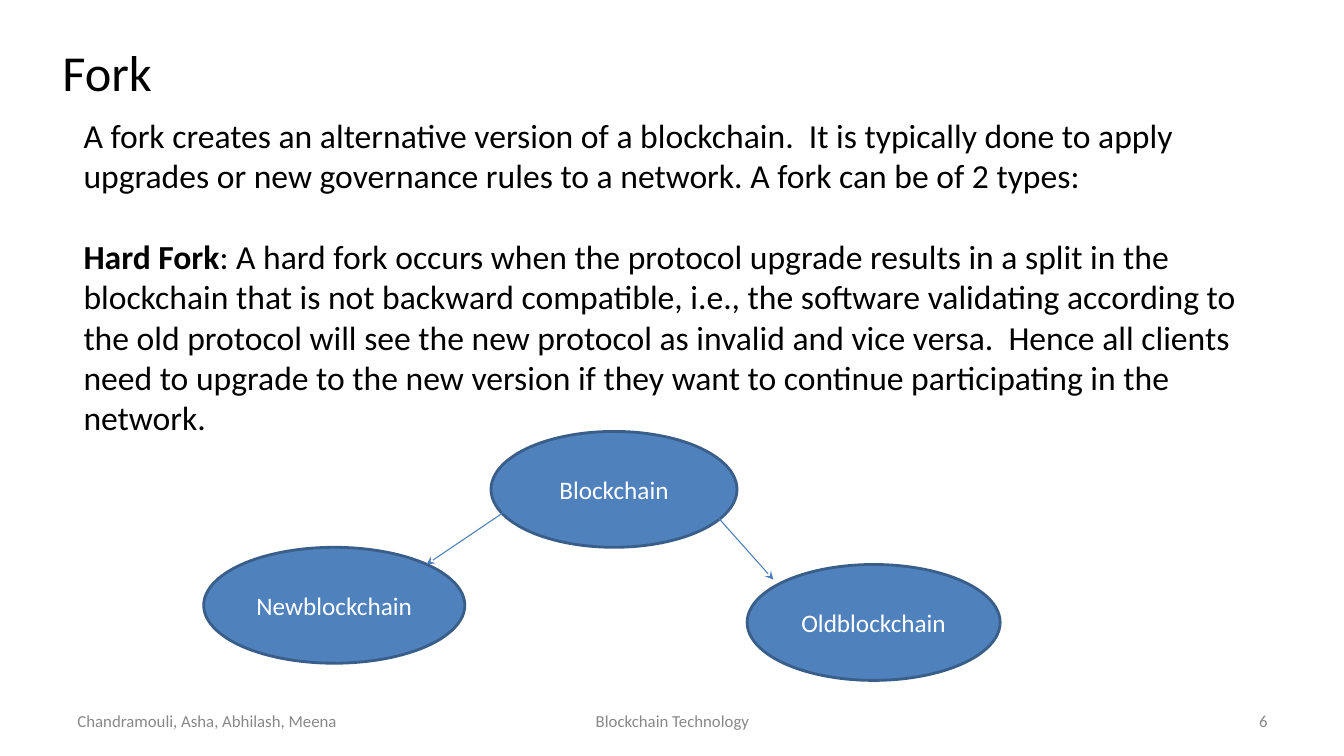
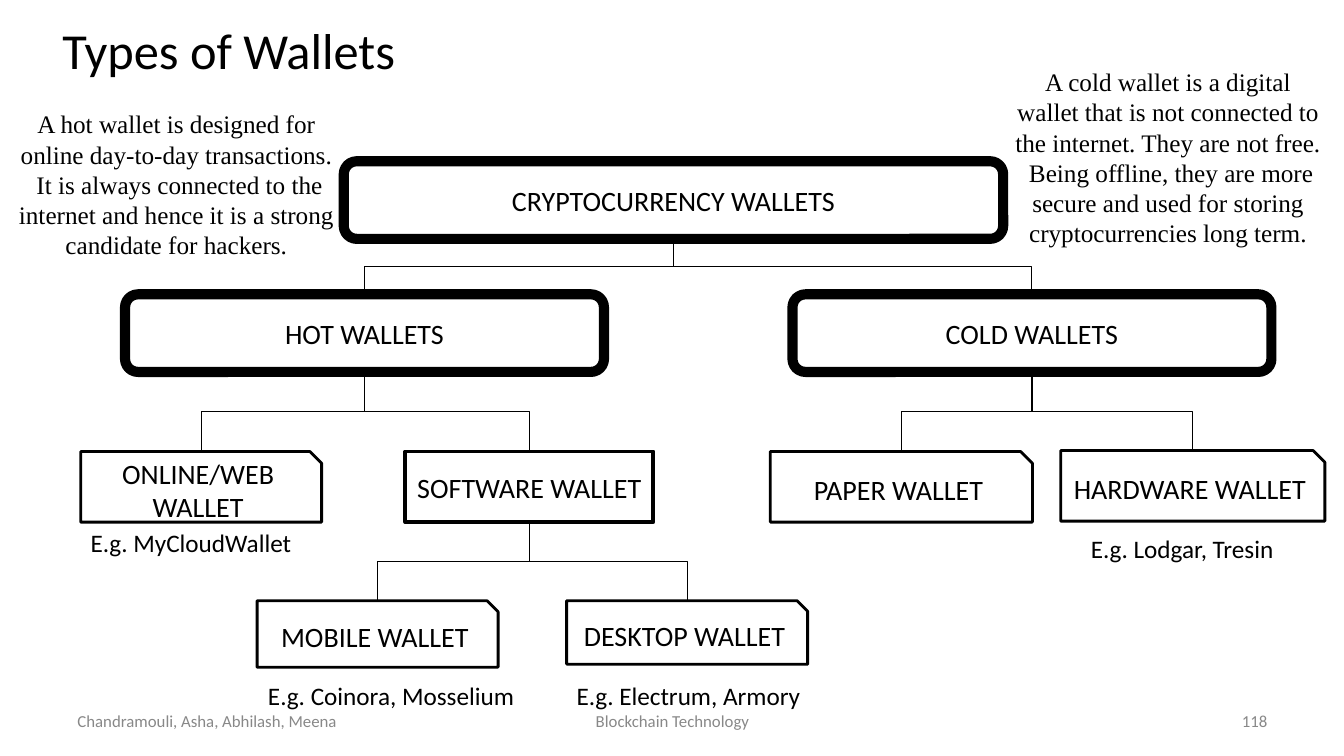
from dataclasses import dataclass

from lxml.etree import SubElement
from pptx import Presentation
from pptx.dml.color import RGBColor
from pptx.enum.shapes import MSO_CONNECTOR as LINK, MSO_SHAPE as SHAPE
from pptx.enum.text import MSO_ANCHOR as ANCHOR, PP_ALIGN as ALIGN
from pptx.oxml.ns import qn
from pptx.util import Pt

EMU_PER_PX = 9144


def px(length):
    return round(length * EMU_PER_PX)


@dataclass(frozen=True)
class Theme:
    ink: str = "000000"
    paper: str = "FFFFFF"
    muted: str = "888888"
    node_fill: str = "4F81BD"
    node_edge: str = "395E89"
    arrow: str = "4A7DBA"
    sans: str = "Calibri"
    serif: str = "Times New Roman"
    title_size: int = 36
    body_size: int = 24
    box_size: int = 20
    label_size: int = 18
    footer_size: int = 12
    body_gap: int = 29
    thin: float = 0.75
    medium: float = 2
    strong: float = 2.75
    heavy: float = 7.25


class Deck:
    def __init__(self, theme):
        self.theme = theme
        self.prs = Presentation()
        self.prs.slide_width = px(1333)
        self.prs.slide_height = px(750)
        self.slide = None

    def new_slide(self, title, title_top, number):
        theme = self.theme
        self.slide = self.prs.slides.add_slide(self.prs.slide_layouts[6])
        heading = self.text((52, title_top, 1174, 74), [[(title, False)]],
                            theme.title_size, align=ALIGN.JUSTIFY)
        heading.text_frame.paragraphs[0].line_spacing = 1.15
        footers = (
            (67, 311, "Chandramouli, Asha, Abhilash, Meena", ALIGN.LEFT),
            (456, 422, "Blockchain Technology", ALIGN.CENTER),
            (956, 311, str(number), ALIGN.RIGHT),
        )
        for left, width, words, align in footers:
            self.text((left, 695, width, 40), [[(words, False)]], theme.footer_size,
                      color=theme.muted, align=align, anchor=ANCHOR.MIDDLE)

    def set_text(self, frame, paragraphs, size, color, font, align, anchor, gap=0):
        frame.word_wrap = True
        frame.vertical_anchor = anchor
        for index, runs in enumerate(paragraphs):
            paragraph = frame.add_paragraph() if index else frame.paragraphs[0]
            paragraph.alignment = align
            if index:
                paragraph.space_before = Pt(gap)
            for words, bold in runs:
                run = paragraph.add_run()
                run.text = words
                run.font.name = font
                run.font.size = Pt(size)
                run.font.bold = bold
                run.font.color.rgb = RGBColor.from_string(color)

    def text(self, area, paragraphs, size, color=None, font=None,
             align=ALIGN.LEFT, anchor=ANCHOR.TOP, gap=0):
        box = self.slide.shapes.add_textbox(*map(px, area))
        self.set_text(box.text_frame, paragraphs, size, color or self.theme.ink,
                      font or self.theme.sans, align, anchor, gap)
        return box

    def shape(self, kind, area, label, size, fill, edge, weight, color):
        shape = self.slide.shapes.add_shape(kind, *map(px, area))
        shape.shadow.inherit = False
        shape.fill.solid()
        shape.fill.fore_color.rgb = RGBColor.from_string(fill)
        shape.line.color.rgb = RGBColor.from_string(edge)
        shape.line.width = Pt(weight)
        self.set_text(shape.text_frame, [[(label, False)]], size, color,
                      self.theme.sans, ALIGN.CENTER, ANCHOR.MIDDLE)
        return shape

    def node(self, area, label):
        theme = self.theme
        return self.shape(SHAPE.OVAL, area, label, theme.label_size, theme.node_fill,
                          theme.node_edge, theme.medium, theme.paper)

    def box(self, kind, area, label, weight):
        theme = self.theme
        return self.shape(kind, area, label, theme.box_size, theme.paper,
                          theme.ink, weight, theme.ink)

    def link(self, kind, ends, color):
        link = self.slide.shapes.add_connector(kind, *ends)
        link.line.color.rgb = RGBColor.from_string(color)
        link.line.width = Pt(self.theme.thin)
        SubElement(link._element.spPr, qn("a:effectLst"))
        return link

    def arrow(self, *ends):
        arrow = self.link(LINK.STRAIGHT, map(px, ends), self.theme.arrow)
        SubElement(arrow._element.spPr.find(qn("a:ln")), qn("a:tailEnd"), type="stealth")

    def branch(self, parent, child):
        start_x = parent.left + parent.width // 2
        start_y = parent.top + parent.height
        end_x = child.left + child.width // 2
        mid_x, mid_y = (start_x + end_x) // 2, (start_y + child.top) // 2
        half_run, half_drop = abs(end_x - start_x) // 2, (child.top - start_y) // 2
        elbow = self.link(LINK.ELBOW, (mid_x - half_drop, mid_y - half_run,
                                       mid_x + half_drop, mid_y + half_run),
                          self.theme.ink)
        frame = elbow._element.spPr.find(qn("a:xfrm"))
        if end_x < start_x:
            frame.set("rot", "5400000")
        else:
            frame.set("rot", "16200000")
            frame.set("flipH", "1")


def build_fork(deck):
    deck.new_slide("Fork", 27, 6)
    intro = ("A fork creates an alternative version of a blockchain.  It is typically done "
             "to apply upgrades or new governance rules to a network. A fork can be of 2 types:")
    hard_fork = (": A hard fork occurs when the protocol upgrade results in a split in the "
                 "blockchain that is not backward compatible, i.e., the software validating "
                 "according to the old protocol will see the new protocol as invalid and vice "
                 "versa.  Hence all clients need to upgrade to the new version if they want to "
                 "continue participating in the network.")
    deck.text((73, 109, 1209, 320),
              [[(intro, False)], [("Hard Fork", True), (hard_fork, False)]],
              deck.theme.body_size, gap=deck.theme.body_gap)
    deck.node((487, 428, 244, 115), "Blockchain")
    deck.node((741, 560, 251, 115), "Oldblockchain")
    deck.node((202, 543, 259, 115), "Newblockchain")
    deck.arrow(500, 508, 423, 560)
    deck.arrow(710, 511, 767, 575)


def build_wallets(deck):
    theme = deck.theme
    deck.new_slide("Types of Wallets", 5, 118)

    def group(area, label):
        return deck.box(SHAPE.ROUNDED_RECTANGLE, area, label, theme.heavy)

    def wallet(area, label):
        return deck.box(SHAPE.SNIP_1_RECTANGLE, area, label, theme.medium)

    root = group((341, 160, 654, 77), "CRYPTOCURRENCY WALLETS")
    hot = group((124, 292, 475, 77), "HOT WALLETS")
    cold = group((786, 292, 475, 77), "COLD WALLETS")
    online = wallet((80, 448, 239, 70), "ONLINE/WEB WALLET")
    software = deck.box(SHAPE.RECTANGLE, (402, 448, 246, 70), "SOFTWARE WALLET", theme.strong)
    paper = wallet((764, 448, 260, 70), "PAPER WALLET")
    hardware = wallet((1052, 447, 262, 70), "HARDWARE WALLET")
    mobile = wallet((255, 596, 239, 66), "MOBILE WALLET")
    desktop = wallet((562, 596, 239, 63), "DESKTOP WALLET")

    tree = ((root, (hot, cold)), (hot, (online, software)),
            (cold, (paper, hardware)), (software, (mobile, desktop)))
    for parent, children in tree:
        for child in children:
            deck.branch(parent, child)

    examples = (
        (1072, 524, 219, "E.g. Lodgar, Tresin"),
        (80, 518, 266, "E.g. MyCloudWallet"),
        (562, 670, 266, "E.g. Electrum, Armory"),
        (256, 670, 266, "E.g. Coinora, Mosselium"),
    )
    for left, top, width, words in examples:
        deck.text((left, top, width, 40), [[(words, False)]], theme.label_size)

    definitions = (
        ((8, 103, 334, 162),
         "A hot wallet is designed for online day-to-day transactions.  It is always "
         "connected to the internet and hence it is a strong candidate for hackers."),
        ((995, 61, 327, 192),
         "A cold wallet is a digital wallet that is not connected to the internet. They are "
         "not free.  Being offline, they are more secure and used for storing "
         "cryptocurrencies long term."),
    )
    for area, words in definitions:
        deck.text(area, [[(words, False)]], theme.label_size,
                  font=theme.serif, align=ALIGN.CENTER)


def main():
    deck = Deck(Theme())
    build_fork(deck)
    build_wallets(deck)
    deck.prs.save("out.pptx")


if __name__ == "__main__":
    main()
